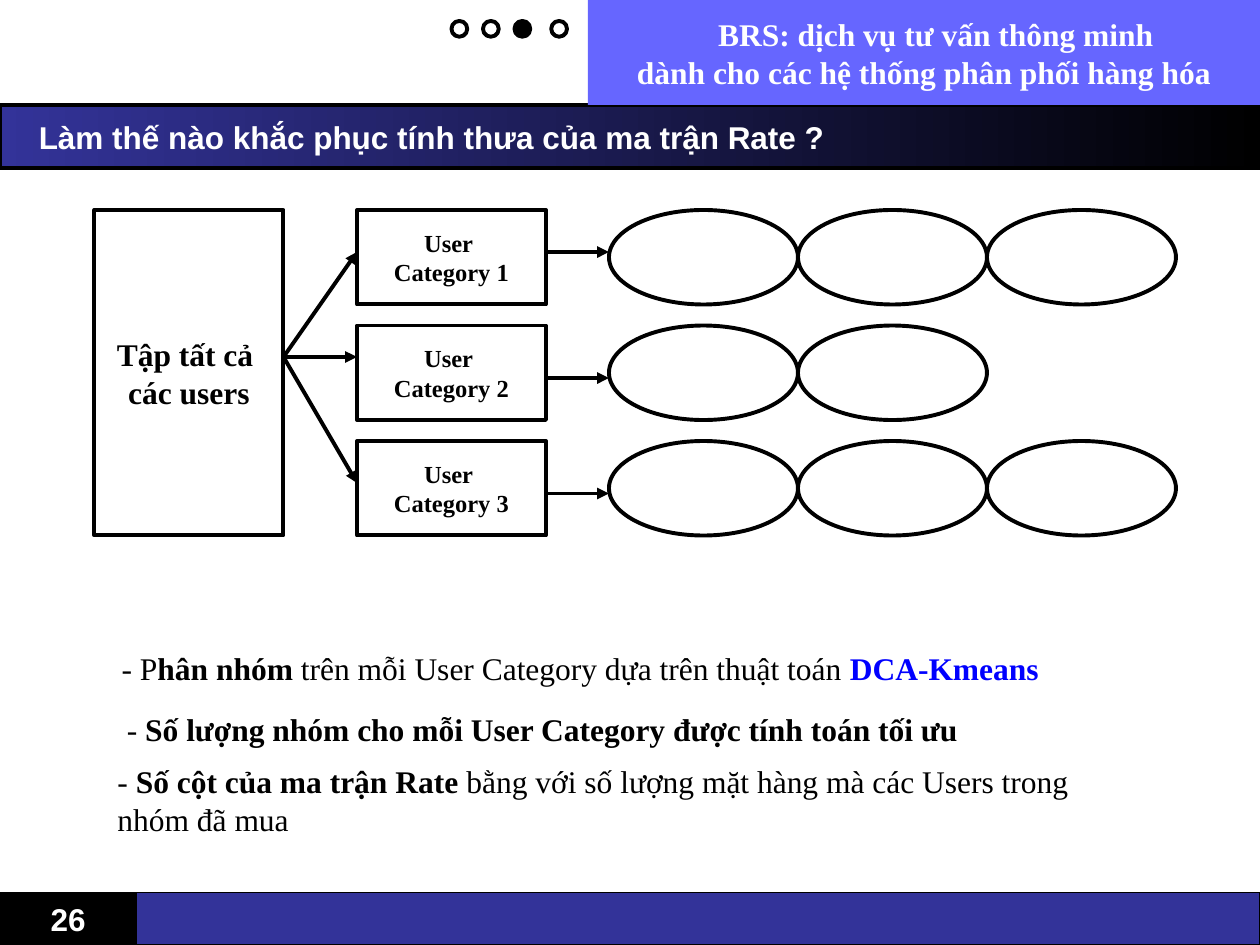
"""Build the slide on sparse Rate matrices and user categories."""
from dataclasses import dataclass
from typing import Optional

from lxml import etree
from pptx import Presentation, util as u
from pptx.dml.color import RGBColor
from pptx.enum import shapes, text
from pptx.oxml import ns


@dataclass(frozen=True)
class Theme:
    black: str = "000000"
    white: str = "FFFFFF"
    navy: str = "333399"
    violet: str = "6666FF"
    blue: str = "0000FF"
    serif: str = "Times New Roman"
    sans: str = "Arial"
    body: float = 18
    label: float = 14
    thin: float = 0.75
    thick: float = 2.25


@dataclass(frozen=True)
class Box:
    col: float
    row: float
    cols: float
    rows: float


@dataclass(frozen=True)
class Run:
    text: str
    bold: bool = False
    color: str = Theme.black


@dataclass(frozen=True)
class Category:
    name: str
    row: float
    entry_row: float
    exit_row: float
    clusters: int


@dataclass(frozen=True)
class Note:
    box: Box
    runs: tuple[Run, ...]
    wrap: bool = False


THEME = Theme()
COLS, ROWS = 120, 90
WIDTH, HEIGHT = u.Inches(10), u.Inches(7.5)
RECT, OVAL = shapes.MSO_SHAPE.RECTANGLE, shapes.MSO_SHAPE.OVAL
LEFT, CENTER = text.PP_ALIGN.LEFT, text.PP_ALIGN.CENTER
TOP, NODE_COLS, NODE_ROWS, ROW_STEP = 20, 18, 9, 11
USERS_COL, CATEGORY_COL, CLUSTER_COL = 9, 34, 58
CATEGORIES = [
    Category(f"Category {i + 1}", TOP + i * ROW_STEP, *rest)
    for i, rest in enumerate([(24, 24, 3), (34, 36, 2), (46, 47, 3)])
]
NOTES = [
    Note(Box(10.4, 61.2, 89.8, 4.8), (
        Run("- P"), Run("hân nhóm", True),
        Run(" trên mỗi User Category dựa trên thuật toán "),
        Run("DCA-Kmeans", True, THEME.blue))),
    Note(Box(10.9, 67, 81.6, 4.8), (
        Run("- "),
        Run("Số lượng nhóm cho mỗi User Category được tính toán tối ưu", True))),
    Note(Box(10, 72, 100, 8.4), (
        Run("- "), Run("Số cột của ma trận Rate", True),
        Run(" bằng với số lượng mặt hàng mà các Users trong nhóm đã mua")), True),
]


def x(col: float) -> int:
    """Turn a grid column into a slide length."""
    return round(WIDTH * col / COLS)


def y(row: float) -> int:
    """Turn a grid row into a slide length."""
    return round(HEIGHT * row / ROWS)


def place(box: Box) -> tuple[int, int, int, int]:
    """Give the left, top, width and height of a grid box."""
    return x(box.col), y(box.row), x(box.cols), y(box.rows)


def write(s, paragraphs, *, size=THEME.body, font=THEME.serif, align=CENTER,
          wrap=True, anchor=text.MSO_ANCHOR.MIDDLE, indent=0.0) -> None:
    """Fill a shape with paragraphs of runs, indenting the first by some inches."""
    tf = s.text_frame
    tf.word_wrap, tf.vertical_anchor = wrap, anchor
    for i, runs in enumerate(paragraphs):
        p = tf.add_paragraph() if i else tf.paragraphs[0]
        p.alignment = align
        if indent and not i:
            p._p.get_or_add_pPr().set("marL", str(u.Inches(indent)))
        for run in runs:
            r = p.add_run()
            r.text = run.text
            r.font.size, r.font.name, r.font.bold = u.Pt(size), font, run.bold
            r.font.color.rgb = RGBColor.from_string(run.color)


def lines(color: str, *texts: str) -> list[list[Run]]:
    """Make one bold paragraph of each text."""
    return [[Run(t, True, color)] for t in texts]


def draw_shape(sp, kind, box: Box, fill: Optional[str] = None,
               line: Optional[float] = THEME.thick, fade: Optional[str] = None):
    """Add a preset shape with a plain, fading or empty fill."""
    s = sp.add_shape(kind, *place(box))
    s.shadow.inherit = False
    if fade:
        s.fill.gradient()
        s.fill.gradient_angle = 0
        for stop, color in zip(s.fill.gradient_stops, (fill, fade)):
            stop.color.rgb = RGBColor.from_string(color)
    elif fill:
        s.fill.solid()
        s.fill.fore_color.rgb = RGBColor.from_string(fill)
    else:
        s.fill.background()
    if line:
        s.line.width = u.Pt(line)
        s.line.color.rgb = RGBColor.from_string(THEME.black)
    else:
        s.line.fill.background()
    return s


def draw_arrow(sp, start: tuple[float, float], end: tuple[float, float]) -> None:
    """Add a straight arrow between two grid points."""
    c = sp.add_connector(shapes.MSO_CONNECTOR.STRAIGHT,
                         x(start[0]), y(start[1]), x(end[0]), y(end[1]))
    c.line.width = u.Pt(THEME.thick)
    c.line.color.rgb = RGBColor.from_string(THEME.black)
    etree.SubElement(c.line._get_or_add_ln(), ns.qn("a:tailEnd"), type="triangle")
    etree.SubElement(c._element.spPr, ns.qn("a:effectLst"))


def draw_frame(sp) -> None:
    """Draw the footer, title bar, banner and progress dots."""
    number = draw_shape(sp, RECT, Box(0, 85, 13, 5), THEME.black, THEME.thin)
    write(number, lines(THEME.white, "26"), font=THEME.sans)
    draw_shape(sp, RECT, Box(13, 85, 107, 5), THEME.navy, THEME.thin)
    title = draw_shape(sp, RECT, Box(0, 10, COLS, 6), THEME.navy, fade=THEME.black)
    write(title, lines(THEME.white, "Làm thế nào khắc phục tính thưa của ma trận Rate ?"),
          font=THEME.sans, align=LEFT, indent=0.21)
    banner = draw_shape(sp, RECT, Box(56, 0, 64, 10), THEME.violet, None)
    write(banner, lines(THEME.white, "BRS: dịch vụ tư vấn thông minh ",
                        "dành cho các hệ thống phân phối hàng hóa"), indent=0.25)
    for col, fill in ((43, None), (46, None), (49, THEME.black), (52.5, None)):
        draw_shape(sp, OVAL, Box(col, 2, 1.5, 1.5), fill)


def draw_users(sp) -> None:
    """Draw the box of all users, its categories and the arrows between them."""
    users = draw_shape(sp, RECT, Box(USERS_COL, TOP, NODE_COLS, 2 * ROW_STEP + NODE_ROWS))
    write(users, lines(THEME.black, "Tập tất cả ", "các users"), wrap=False)
    for c in CATEGORIES:
        s = draw_shape(sp, RECT, Box(CATEGORY_COL, c.row, NODE_COLS, NODE_ROWS))
        write(s, lines(THEME.black, "User ", c.name), size=THEME.label, wrap=False)
    for c in CATEGORIES:
        draw_arrow(sp, (USERS_COL + NODE_COLS, 34), (CATEGORY_COL, c.entry_row))


def draw_clusters(sp, categories: list[Category]) -> None:
    """Draw the row of clusters that each category leads to."""
    for c in categories:
        for i in range(c.clusters):
            draw_shape(sp, OVAL, Box(CLUSTER_COL + i * NODE_COLS, c.row, NODE_COLS, NODE_ROWS))
        draw_arrow(sp, (CATEGORY_COL + NODE_COLS, c.exit_row), (CLUSTER_COL, c.exit_row))


def draw_note(sp, note: Note) -> None:
    """Add one line of the explanation under the diagram."""
    s = sp.add_textbox(*place(note.box))
    write(s, [note.runs], align=LEFT, wrap=note.wrap, anchor=text.MSO_ANCHOR.TOP)
    s.text_frame.auto_size = text.MSO_AUTO_SIZE.SHAPE_TO_FIT_TEXT


def main() -> None:
    """Build and save the slide."""
    prs = Presentation()
    prs.slide_width, prs.slide_height = WIDTH, HEIGHT
    sp = prs.slides.add_slide(prs.slide_layouts[6]).shapes
    draw_frame(sp)
    for note in NOTES:
        draw_note(sp, note)
    draw_users(sp.add_group_shape().shapes)
    for categories in (CATEGORIES[:1], CATEGORIES[1:]):
        draw_clusters(sp.add_group_shape().shapes, categories)
    prs.save("out.pptx")


if __name__ == "__main__":
    main()
